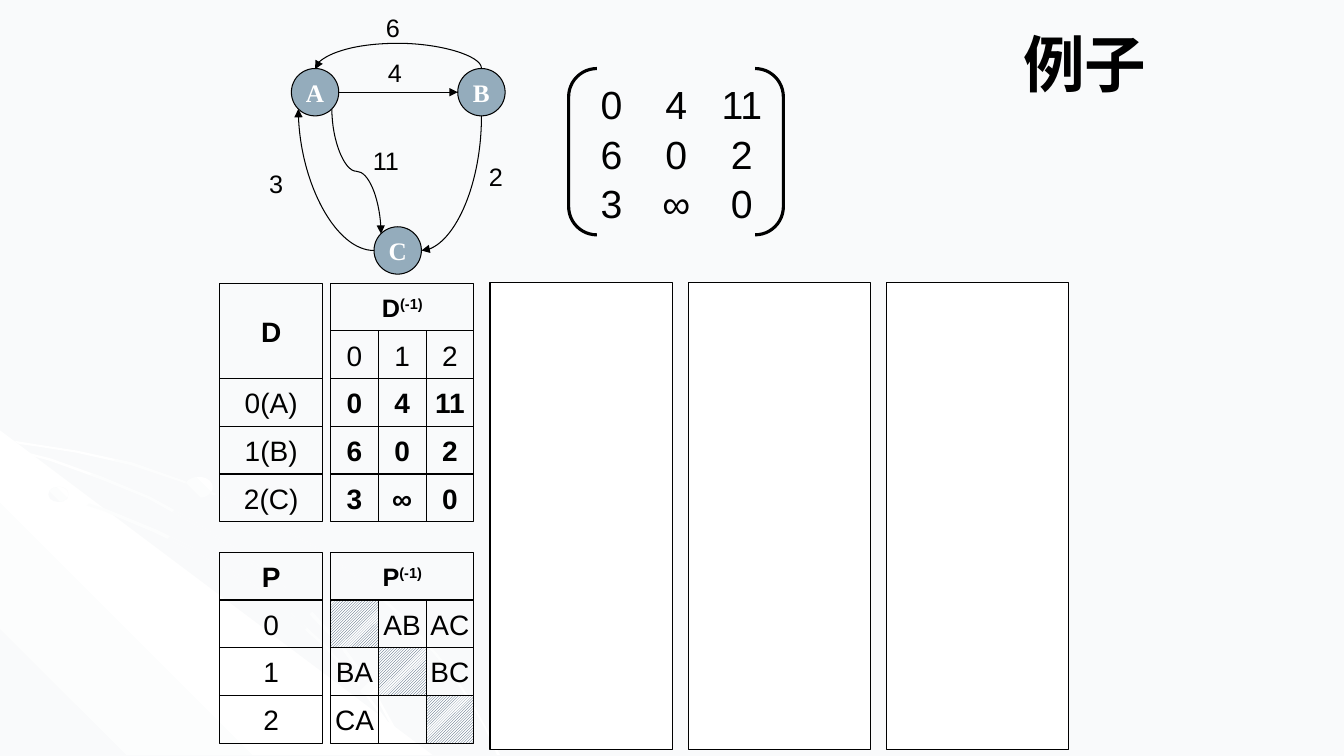
"""Build the shortest-path example slide with its graph, matrix and tables."""
from dataclasses import dataclass
from math import cos, radians, sin

from lxml import etree
from pptx import Presentation, util as u
from pptx.dml.color import RGBColor
from pptx.enum import dml, shapes, text
from pptx.oxml.ns import qn


@dataclass(frozen=True)
class Theme:
    ink: str = "000000"
    white: str = "FFFFFF"
    mist: str = "F9FAFB"
    node: str = "94ACBC"
    hatch: str = "2B4663"
    body_font: str = "Arial"
    node_font: str = "Times New Roman"
    title: int = 44
    matrix: int = 28
    cell: int = 20
    label: int = 18
    thin: float = 0.75
    thick: float = 2.25


THEME = Theme()
CELL = 1.42 / 3
NODE = 0.47
HATCHED = "hatched"
SWOOSHES = [
    [(0.76, 4.47), (0.37, 4.41), (0, 4.35), (0, 4.38), (0.37, 4.43), (0.75, 4.49),
     (1.29, 4.61), (1.8, 4.78), (2.31, 4.99), (2.78, 5.23), (3.21, 5.49), (3.61, 5.79),
     (3.97, 6.12), (4.31, 6.49), (4.5, 6.73), (4.67, 6.98), (4.81, 7.23), (4.93, 7.49),
     (4.96, 7.49), (4.83, 7.23), (4.69, 6.98), (4.53, 6.73), (4.33, 6.48), (4, 6.11),
     (3.63, 5.78), (3.22, 5.48), (2.79, 5.21), (2.32, 4.97), (1.82, 4.77), (1.31, 4.59)],
    [(3.8, 7.14), (3.92, 7.32), (4.01, 7.49), (4.04, 7.49), (3.94, 7.3), (3.82, 7.12),
     (3.55, 6.76), (3.23, 6.4), (2.86, 6.06), (2.46, 5.76), (2.03, 5.49), (1.56, 5.26),
     (1.05, 5.05), (0.54, 4.88), (0, 4.75), (0, 4.77), (0.51, 4.9), (1.03, 5.07),
     (1.53, 5.28), (2, 5.51), (2.44, 5.78), (2.84, 6.08), (3.21, 6.41), (3.53, 6.77)],
    [(0, 4.42), (0, 4.44), (0.49, 4.57), (0.99, 4.75), (1.46, 4.94), (1.89, 5.18),
     (2.31, 5.44), (2.69, 5.75), (3.03, 6.05), (3.37, 6.41), (3.56, 6.67), (3.74, 6.94),
     (3.89, 7.22), (4.01, 7.49), (4.04, 7.49), (3.91, 7.2), (3.76, 6.93), (3.58, 6.65),
     (3.39, 6.39), (3.06, 6.03), (2.72, 5.73), (2.33, 5.43), (1.91, 5.16), (1.49, 4.93),
     (1.01, 4.73), (0.51, 4.55)],
]
WEDGE = [(4.29, 7.49), (0, 7.49), (0, 4.27)]


def add_text(paragraph, content, *, size, bold=False, color=THEME.ink,
             font=THEME.body_font, raised=False):
    run = paragraph.add_run()
    run.text = content
    run.font.size = u.Pt(size)
    run.font.bold = bold
    run.font.name = font
    run.font.color.rgb = RGBColor.from_string(color)
    if raised:
        run.font._element.set("baseline", "30000")


class SlideBuilder:
    def __init__(self, slide, theme):
        self.slide = slide
        self.theme = theme

    def background(self):
        fill = self.slide.background.fill
        fill.solid()
        fill.fore_color.rgb = RGBColor.from_string(self.theme.mist)

    def gradient(self, shape, colors, angle):
        shape.shadow.inherit = False
        shape.line.fill.background()
        shape.fill.gradient()
        shape.fill.gradient_angle = 360 - angle
        stops = shape._element.spPr.find(qn("a:gradFill")).find(qn("a:gsLst"))
        for stop in list(stops):
            stops.remove(stop)
        for index, color in enumerate(colors):
            position = 100000 * index // (len(colors) - 1)
            stop = etree.SubElement(stops, qn("a:gs"), pos=str(position))
            etree.SubElement(stop, qn("a:srgbClr"), val=color)

    def outline(self, points, colors, angle):
        corners = [(u.Inches(x), u.Inches(y)) for x, y in points]
        builder = self.slide.shapes.build_freeform(*corners[0])
        builder.add_line_segments(corners[1:], close=True)
        self.gradient(builder.convert_to_shape(), colors, angle)

    def shape(self, kind, left, top, width, height, fill=None, line=THEME.thin):
        shape = self.slide.shapes.add_shape(kind, *map(u.Inches, (left, top, width, height)))
        shape.shadow.inherit = False
        shape.line.color.rgb = RGBColor.from_string(self.theme.ink)
        shape.line.width = u.Pt(line)
        if fill == HATCHED:
            shape.fill.patterned()
            shape.fill.pattern = dml.MSO_PATTERN.LIGHT_UPWARD_DIAGONAL
            shape.fill.fore_color.rgb = RGBColor.from_string(self.theme.hatch)
            shape.fill.back_color.rgb = RGBColor.from_string(self.theme.white)
        elif fill:
            shape.fill.solid()
            shape.fill.fore_color.rgb = RGBColor.from_string(fill)
        else:
            shape.fill.background()
        return shape

    def centered(self, shape):
        frame = shape.text_frame
        frame.word_wrap = False
        frame.vertical_anchor = text.MSO_ANCHOR.MIDDLE
        frame.paragraphs[0].alignment = text.PP_ALIGN.CENTER
        return frame.paragraphs[0]

    def cell(self, left, top, content, width=CELL, height=CELL, bold=False, power=""):
        hatched = content == HATCHED
        shape = self.shape(shapes.MSO_SHAPE.RECTANGLE, left, top, width, height,
                           HATCHED if hatched else None)
        if content and not hatched:
            size = self.theme.label if power else self.theme.cell
            paragraph = self.centered(shape)
            add_text(paragraph, content, size=size, bold=bold)
            if power:
                add_text(paragraph, power, size=size, bold=bold, raised=True)

    def grid(self, left, top, rows, bold=False):
        for row, contents in enumerate(rows):
            for column, content in enumerate(contents):
                self.cell(left + column * CELL, top + row * CELL, content, bold=bold)

    def node(self, left, top, name):
        shape = self.shape(shapes.MSO_SHAPE.OVAL, left, top, NODE, NODE, self.theme.node)
        add_text(self.centered(shape), name, size=self.theme.label, bold=True,
                 color=self.theme.white, font=self.theme.node_font)
        return shape

    def site(self, node, index):
        angle, radius = radians(90 + 45 * index), node.width / 2
        return (int(node.left + radius + radius * cos(angle)),
                int(node.top + radius - radius * sin(angle)))

    def edge(self, start, start_site, end, end_site, preset="line", rotation=0, flip="", bend=None):
        begin, finish = self.site(start, start_site), self.site(end, end_site)
        kind = shapes.MSO_CONNECTOR.STRAIGHT if preset == "line" else shapes.MSO_CONNECTOR.CURVE
        connector = self.slide.shapes.add_connector(kind, *begin, *finish)
        connector.line.color.rgb = RGBColor.from_string(self.theme.ink)
        connector.line.width = u.Pt(self.theme.thin)
        properties = connector._element.spPr
        etree.SubElement(properties.find(qn("a:ln")), qn("a:tailEnd"), type="triangle")
        etree.SubElement(properties, qn("a:effectLst"))
        links = connector._element.nvCxnSpPr.cNvCxnSpPr
        for tag, node, index in (("a:stCxn", start, start_site), ("a:endCxn", end, end_site)):
            etree.SubElement(links, qn(tag), id=str(node.shape_id), idx=str(index))
        if preset == "line":
            return
        width, height = abs(finish[0] - begin[0]), abs(finish[1] - begin[1])
        if rotation in (90, 270):
            width, height = height, width
        width = max(width, u.Inches(0.01))
        connector.left = (begin[0] + finish[0] - width) // 2
        connector.top = (begin[1] + finish[1] - height) // 2
        connector.width, connector.height = width, height
        frame = properties.find(qn("a:xfrm"))
        frame.set("rot", str(rotation * 60000))
        frame.set("flipH", str(int("h" in flip)))
        frame.set("flipV", str(int("v" in flip)))
        geometry = properties.find(qn("a:prstGeom"))
        geometry.set("prst", preset)
        if bend is not None:
            guides = geometry.find(qn("a:avLst"))
            etree.SubElement(guides, qn("a:gd"), name="adj1", fmla=f"val {int(bend * 100000)}")

    def text_box(self, left, top, width, height, lines, size, bold=False, tabs=(), gap=0):
        box = self.slide.shapes.add_textbox(*map(u.Inches, (left, top, width, height)))
        frame = box.text_frame
        frame.word_wrap = bool(tabs)
        frame.auto_size = text.MSO_AUTO_SIZE.SHAPE_TO_FIT_TEXT
        for index, line in enumerate(lines):
            paragraph = frame.add_paragraph() if index else frame.paragraphs[0]
            if tabs:
                paragraph.space_after = u.Pt(gap)
                stops = etree.SubElement(paragraph._p.get_or_add_pPr(), qn("a:tabLst"))
                for tab in tabs:
                    etree.SubElement(stops, qn("a:tab"), pos=str(u.Inches(tab)), algn="ctr")
            add_text(paragraph, line, size=size, bold=bold)


def main():
    presentation = Presentation()
    presentation.slide_width, presentation.slide_height = u.Inches(13.33), u.Inches(7.5)
    page = SlideBuilder(presentation.slides.add_slide(presentation.slide_layouts[6]), THEME)
    white, mist = THEME.white, THEME.mist
    oval, box = shapes.MSO_SHAPE.OVAL, shapes.MSO_SHAPE.RECTANGLE

    page.background()
    page.outline(SWOOSHES[0], (white, mist, white), 45)
    page.outline(WEDGE, (mist, white, mist), 315)
    for swoosh in SWOOSHES[1:]:
        page.outline(swoosh, (white, mist, white), 45)
    for *place, angle in ((0.48, 4.83, 0.2, 0.15, 315), (3.56, 6.74, 0.21, 0.16, 45),
                          (1.83, 4.73, 0.28, 0.21, 315)):
        page.gradient(page.shape(oval, *place), (mist, white), angle)

    a, b, c = (page.node(*node) for node in ((2.89, 0.68, "A"), (4.54, 0.68, "B"), (3.71, 2.25, "C")))
    page.edge(b, 0, a, 0, "curvedConnector3", 270, "hv", -25)
    page.edge(a, 6, b, 2)
    page.edge(a, 5, c, 1, "curvedConnector3", 270, "h", 0.5)
    page.edge(c, 2, a, 3, "curvedConnector2", 180)
    page.edge(b, 4, c, 6, "curvedConnector2", 90)
    for left, top, width, weight in ((3.73, 0.07, 0.34, "6"), (3.75, 0.52, 0.34, "4"), (3.6, 1.39, 0.46, "11"),
                                     (2.57, 1.62, 0.34, "3"), (4.75, 1.55, 0.34, "2")):
        page.text_box(left, top, width, 0.4, [weight], THEME.label)

    distances = [("0", "4", "11"), ("6", "0", "2"), ("3", "∞", "0")]
    page.text_box(5.86, 0.75, 2, 1.51, ["\t".join(row) for row in distances], THEME.matrix,
                  tabs=(0.75, 1.4), gap=1.6)
    bracket = page.shape(shapes.MSO_SHAPE.DOUBLE_BRACKET, 5.64, 0.68, 2.13, 1.65, line=THEME.thick)
    bracket.adjustments[0] = 0.17
    page.text_box(10.05, 0.21, 1.43, 0.84, ["例子"], THEME.title, bold=True)

    hops = [(HATCHED, "AB", "AC"), ("BA", HATCHED, "BC"), ("CA", "", HATCHED)]
    for name, top, head_rows, names, rows, bold in (
            ("D", 2.81, 2, ("0(A)", "1(B)", "2(C)"), distances, True),
            ("P", 5.48, 1, ("0", "1", "2"), hops, False)):
        body_top = top + head_rows * CELL
        for index, row_name in enumerate(names):
            page.cell(2.18, body_top + index * CELL, row_name, width=1.02)
        page.grid(3.28, body_top, rows, bold)
        page.cell(2.18, top, name, 1.02, head_rows * CELL, True)
        page.cell(3.28, top, name, 3 * CELL, bold=True, power="(-1)")
    page.grid(3.28, 2.81 + CELL, [("0", "1", "2")])
    for index in range(3):
        page.shape(box, 4.86 + index * 3.93 / 2, 2.8, 1.81, 4.64, white)
    presentation.save("out.pptx")


if __name__ == "__main__":
    main()
